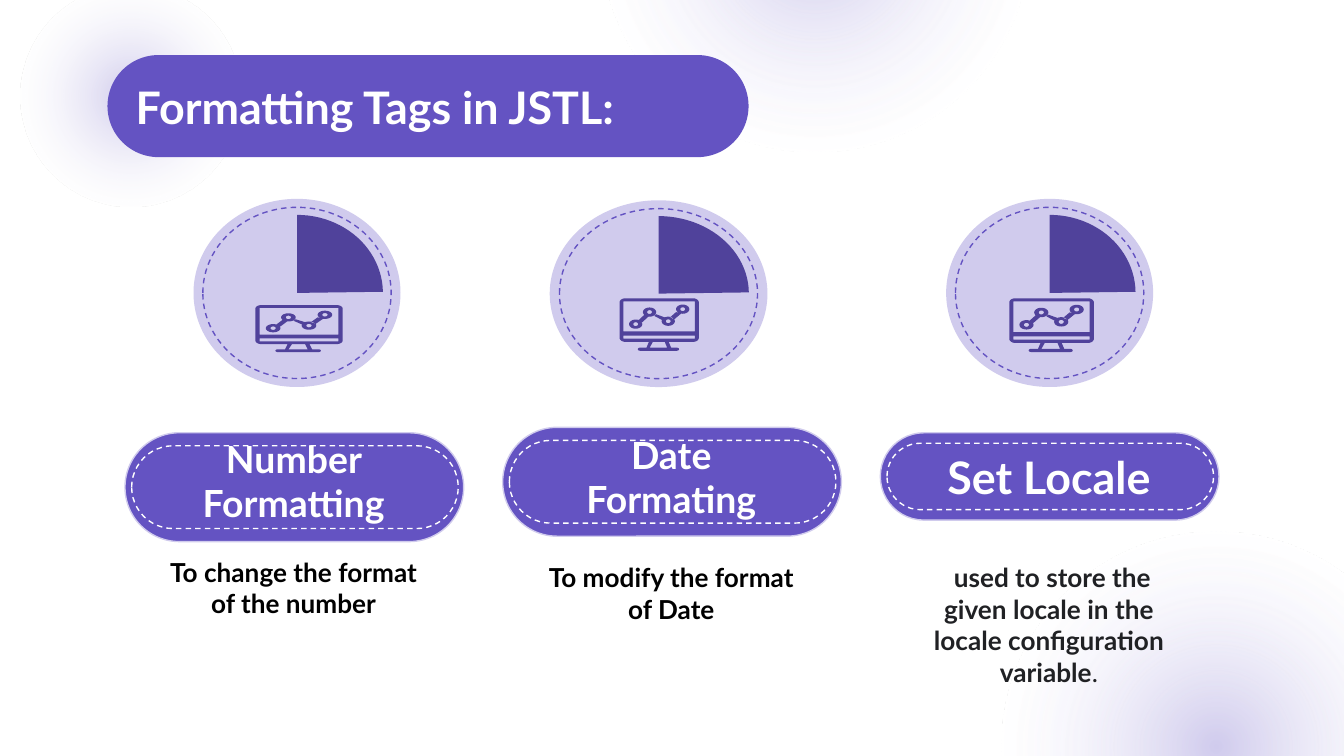
from dataclasses import dataclass
from math import cos, sin, radians
from lxml import etree
from pptx import Presentation
from pptx.dml.color import RGBColor as RGB
from pptx.enum.dml import MSO_LINE as Dash
from pptx.enum.shapes import MSO_SHAPE as Kind
from pptx.enum.text import MSO_ANCHOR as Anchor, MSO_AUTO_SIZE as Auto, PP_ALIGN as Align
from pptx.oxml import parse_xml
from pptx.oxml.ns import nsdecls, qn
from pptx.util import Inches, Pt


@dataclass(frozen=True)
class Theme:
    font: str = "Lato"
    main: str = "6453C2"
    dark: str = "50429B"
    pale: str = "D0CBED"
    white: str = "FFFFFF"
    black: str = "000000"
    ink: str = "202124"
    head: int = 24
    label: int = 20
    body: int = 14
    rule: float = 0.75


T = Theme()


def place(item, box):
    item.left, item.top, item.width, item.height = map(Inches, box)


def raise_up(slide, item):
    slide.shapes._spTree.append(item._element)


def paint(item, fill=None, line=None, dash=False):
    item.shadow.inherit = False
    if fill:
        item.fill.solid()
        item.fill.fore_color.rgb = RGB.from_string(fill)
    else:
        item.fill.background()
    if line:
        item.line.color.rgb = RGB.from_string(line)
        item.line.width = Pt(T.rule)
        if dash:
            item.line.dash_style = Dash.DASH
    else:
        item.line.fill.background()
    return item


def draw(slide, kind, box, adj=(), **style):
    item = slide.shapes.add_shape(kind, *map(Inches, box))
    for i, value in enumerate(adj):
        item.adjustments[i] = value
    return paint(item, **style)


def write(item, parts, size, color, align=Align.CENTER, anchor=Anchor.MIDDLE):
    """Fill a frame; parts is a text in bold or a list of (text, bold)."""
    frame = item.text_frame
    frame.word_wrap = True
    frame.auto_size = Auto.NONE
    frame.vertical_anchor = anchor
    frame.margin_left = frame.margin_right = Inches(0.1)
    frame.margin_top = frame.margin_bottom = Inches(0.1)
    para = frame.paragraphs[0]
    para.alignment = align
    para.space_before = Pt(0)
    props = para._p.get_or_add_pPr()
    props.set("marL", "0")
    props.set("indent", "0")
    etree.SubElement(props, qn("a:buNone"))
    for text, bold in [(parts, True)] if isinstance(parts, str) else parts:
        run = para.add_run()
        run.text = text
        run.font.name = T.font
        run.font.size = Pt(size)
        run.font.bold = bold
        run.font.color.rgb = RGB.from_string(color)


def arc(x, y, rx, ry, start=0, end=360, step=15):
    return [(x + rx * cos(radians(a)), y + ry * sin(radians(a)))
            for a in range(start, end + 1, step)]


def rect(x1, y1, x2, y2):
    return [(x1, y1), (x2, y1), (x2, y2), (x1, y2)]


def trace(slide, box, loops):
    """Draw closed loops, given in fractions of the box, as one outline."""
    x, y, w, h = box
    pen = None
    for loop in loops:
        first, *rest = [(Inches(x + u * w), Inches(y + v * h)) for u, v in loop]
        if pen:
            pen.move_to(*first)
        else:
            pen = slide.shapes.build_freeform(*first)
        pen.add_line_segments(rest)
    paint(pen.convert_to_shape(), fill=T.dark)


# Outlines of the screen and of the chart on it
CASE = (arc(.07, .08, .07, .08, 180, 270) + arc(.93, .08, .07, .08, 270, 360)
        + arc(.93, .75, .07, .08, 0, 90)
        + [(.62, .83), (.65, .94)] + arc(.72, .97, .03, .03, -90, 90)
        + arc(.26, .97, .03, .03, 90, 270) + [(.34, .94), (.37, .83)]
        + arc(.07, .75, .07, .08, 90, 180))
SCREEN = [CASE, rect(.05, .06, .95, .63), rect(.05, .71, .95, .77),
          [(.42, .83), (.57, .83), (.6, .94), (.38, .94)]]
NODES = [(.11, .81), (.34, .31), (.65, .69), (.89, .19)]
LINKS = [[(.25, .43), (.16, .64), (.22, .73), (.32, .5)],
         [(.59, .53), (.45, .4), (.42, .47), (.54, .63)],
         [(.78, .31), (.68, .53), (.75, .61), (.86, .38)]]
CHART = LINKS + [arc(x, y, rx, ry) for x, y in NODES
                 for rx, ry in ((.11, .19), (.04, .08))]


def glow(slide, box):
    item = draw(slide, Kind.OVAL, box)
    props = item._element.spPr
    props.replace(props.find(qn("a:noFill")), parse_xml(
        f'<a:gradFill {nsdecls("a")}><a:gsLst>'
        f'<a:gs pos="0"><a:srgbClr val="{T.pale}"/></a:gs>'
        f'<a:gs pos="72000"><a:srgbClr val="{T.white}"><a:alpha val="27000"/></a:srgbClr></a:gs>'
        f'<a:gs pos="100000"><a:srgbClr val="{T.white}"/></a:gs></a:gsLst>'
        '<a:path path="circle"><a:fillToRect l="50000" t="50000" r="50000" b="50000"/>'
        '</a:path></a:gradFill>'))


def header(slide, box, text):
    x, y, w, h = box
    draw(slide, Kind.ROUNDED_RECTANGLE, box, adj=[.5], fill=T.main)
    title = slide.shapes.title
    place(title, (x + .11, y, w - .22, h))
    write(title, text, T.head, T.white, align=Align.LEFT)
    raise_up(slide, title)


def badge(slide, box, icon):
    x, y, w, h = box
    draw(slide, Kind.OVAL, box, fill=T.pale)
    pie = (x + .085 * w, y + .085 * h, .83 * w, .83 * h)
    draw(slide, Kind.PIE, pie, adj=(162, 215.53), fill=T.dark)
    ring = (x + .045 * w, y + .045 * h, .91 * w, .91 * h)
    draw(slide, Kind.OVAL, ring, line=T.main, dash=True)
    x, y, w, h = icon
    trace(slide, (x + .12 * w, y + .12 * h, .76 * w, .46 * h), CHART)
    trace(slide, icon, SCREEN)


def pill(slide, box, text, top, size):
    x, y, w, h = box
    draw(slide, Kind.ROUNDED_RECTANGLE, box, adj=[.5], fill=T.main, line=T.pale)
    draw(slide, Kind.ROUNDED_RECTANGLE, (x + .05, y + .12 * h, w - .09, .76 * h),
         adj=[.5], line=T.white, dash=True)
    label = slide.shapes.add_textbox(*map(Inches, (x + .22, top, 2.07, .51)))
    write(label, text, size, T.white)


def note(slide, item, box, parts, color):
    place(item, box)
    write(item, parts, T.body, color, anchor=Anchor.TOP)
    raise_up(slide, item)


# Slide
deck = Presentation()
deck.slide_width, deck.slide_height = Inches(10), Inches(10 * 9 / 16)
slide = deck.slides.add_slide(deck.slide_layouts[4])
bodies = [p for p in slide.placeholders if p.placeholder_format.idx in (1, 2, 3, 4)]
spare = bodies.pop()._element
spare.getparent().remove(spare)

# Background glows
for spot in ((7.45, 3.96, 3.19, 3.19), (.15, -.11, 1.65, 1.65), (4.47, -2.06, 3.19, 3.19)):
    glow(slide, spot)

# Columns: label, size, pill top and height, label top, note top, note, colour, badge, icon
STORE = [("\u00a0", False),
         ("used to store the given locale in the locale configuration variable", True),
         (".", False)]
COLUMNS = [
    ("Number Formatting", T.label, 3.22, .81, 3.32, 4.04, "To change the format of the number",
     T.black, (1.44, 1.48, 1.54, 1.4), (1.9, 2.27, .65, .35)),
    ("Date Formating", T.label, 3.18, .81, 3.29, 4.08, "To modify the format of Date",
     T.black, (4.09, 1.49, 1.62, 1.39), (4.61, 2.22, .59, .39)),
    ("Set Locale", T.head, 3.22, .65, 3.29, 4.08, STORE,
     T.ink, (7.04, 1.48, 1.54, 1.4), (7.51, 2.22, .63, .4)),
]
for i, (name, size, top, high, mid, low, words, color, disc, icon) in enumerate(COLUMNS):
    left = .93 + 2.81 * i
    pill(slide, (left, top, 2.52, high), name, mid, size)
    note(slide, bodies[i], (left + .22, low, 2.07, .73), words, color)
    badge(slide, disc, icon)

# Heading
header(slide, (.8, .41, 4.77, .76), "Formatting Tags in JSTL:")

deck.save("out.pptx")
